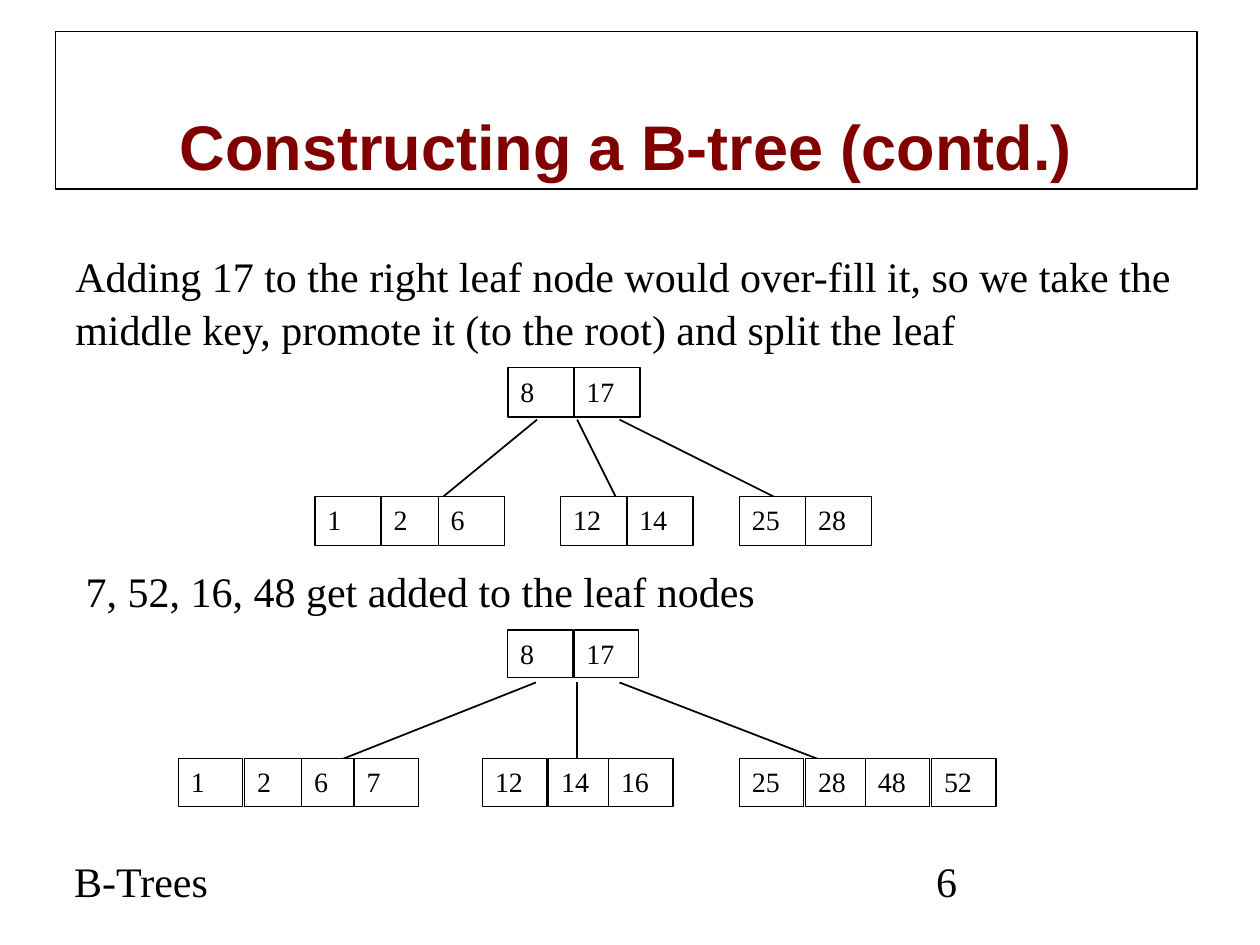
from itertools import accumulate

from lxml import etree
from pptx import Presentation
from pptx.dml.color import RGBColor
from pptx.enum import shapes, text
from pptx.oxml.ns import qn
from pptx.util import Pt

COLORS = {"ink": "000000", "paper": "FFFFFF", "title": "800000"}
SERIF = {"name": "Times New Roman", "size": Pt(24)}
KEY_FONT = {**SERIF, "size": Pt(16)}
TITLE_FONT = {"name": "Arial", "size": Pt(36), "bold": True}

TITLE = ("Constructing a B-tree (contd.)", (31.7, 18, 652.3, 90))
STEPS = [
    ("Adding 17 to the right leaf node would over-fill it, so we take the "
     "middle key, promote it (to the root) and split the leaf",
     (36, 138.2, 660.2, 64.8)),
    ("7, 52, 16, 48 get added to the leaf nodes", (41.8, 318.2, 647.3, 36)),
]
FOOTERS = [("B-Trees", (35.3, 486, 215.3, 35.3)),
           ("6", (527.8, 486, 149, 35.3))]

# A node is its left edge, its keys and the step from each key to the next.
WIDE = 37.8
TREES = [
    {"cell": (37.8, 28.1), "root_top": 210.2, "leaf_top": 283.7,
     "root": (290.2, [8, 17], [WIDE]),
     "leaves": [(180, [1, 2, 6], [WIDE, 32.6]),
                (320.4, [12, 14], [WIDE]),
                (422.6, [25, 28], [WIDE])],
     "branches": [(306.9, 239.8, 233.3, 300.2),
                  (329.8, 239.8, 360, 300.2),
                  (354, 239.8, 462.2, 293.8)]},
    {"cell": (36.8, 27.3), "root_top": 360, "leaf_top": 433.5,
     "root": (290.2, [8, 17], [WIDE]),
     "leaves": [(102, [1, 2, 6, 7], [WIDE, 32.6, 30]),
                (275.8, [12, 14, 16], [WIDE, 34.2]),
                (422.6, [25, 28, 48, 52], [WIDE, 34.2, WIDE])],
     "branches": [(306.2, 390, 172.8, 442.8),
                  (329.8, 390, 329.8, 449.3),
                  (354, 390, 491, 442.8)]},
]


def color(key):
    return RGBColor.from_string(COLORS[key])


def write(shape, words, font, ink="ink", **paragraph_format):
    shape.text_frame.word_wrap = True
    paragraph = shape.text_frame.paragraphs[0]
    paragraph.text = str(words)
    paragraph.alignment = text.PP_ALIGN.LEFT
    for target, values in ((paragraph, paragraph_format), (paragraph.font, font)):
        for attribute, value in values.items():
            setattr(target, attribute, value)
    paragraph.font.color.rgb = color(ink)


def add_label(slide, words, box, font, anchor, **options):
    label = slide.shapes.add_textbox(*map(Pt, box))
    label.text_frame.vertical_anchor = anchor
    write(label, words, font, **options)
    return label


def outline(shape, width):
    shape.line.color.rgb = color("ink")
    shape.line.width = Pt(width)


def add_branch(slide, ends):
    branch = slide.shapes.add_connector(shapes.MSO_CONNECTOR.STRAIGHT, *map(Pt, ends))
    outline(branch, 1)
    etree.SubElement(branch._element.spPr, qn("a:effectLst"))


def add_node(slide, node, top, cell_size):
    left, keys, steps = node
    for key, x in zip(keys, accumulate(steps, initial=left)):
        cell = slide.shapes.add_shape(
            shapes.MSO_SHAPE.RECTANGLE, *map(Pt, (x, top, *cell_size)))
        cell.shadow.inherit = False
        cell.fill.solid()
        cell.fill.fore_color.rgb = color("paper")
        outline(cell, 0.75)
        cell.text_frame.vertical_anchor = text.MSO_ANCHOR.TOP
        write(cell, key, KEY_FONT)


def add_tree(slide, tree):
    for ends in tree["branches"]:
        add_branch(slide, ends)
    add_node(slide, tree["root"], tree["root_top"], tree["cell"])
    for leaf in tree["leaves"]:
        add_node(slide, leaf, tree["leaf_top"], tree["cell"])


def main():
    deck = Presentation()
    deck.slide_width, deck.slide_height = Pt(720), Pt(540)
    slide = deck.slides.add_slide(deck.slide_layouts[6])

    title = add_label(slide, *TITLE, TITLE_FONT, text.MSO_ANCHOR.BOTTOM,
                      ink="title", alignment=text.PP_ALIGN.CENTER)
    outline(title, 0.75)
    for step, tree in zip(STEPS, TREES):
        add_label(slide, *step, SERIF, text.MSO_ANCHOR.TOP, line_spacing=1.05)
        add_tree(slide, tree)
    for footer in FOOTERS:
        add_label(slide, *footer, SERIF, text.MSO_ANCHOR.BOTTOM)
    deck.save("out.pptx")


if __name__ == "__main__":
    main()
